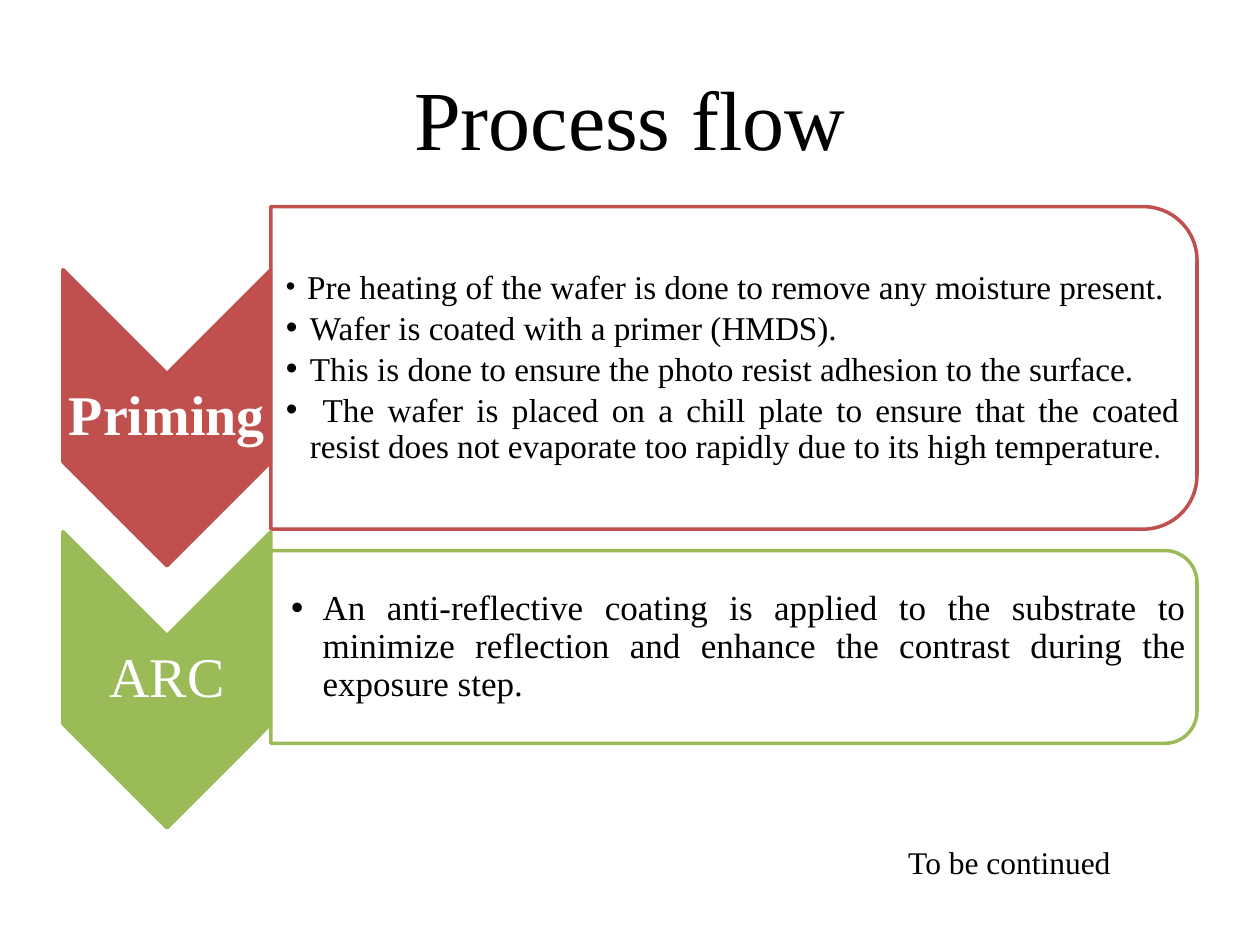
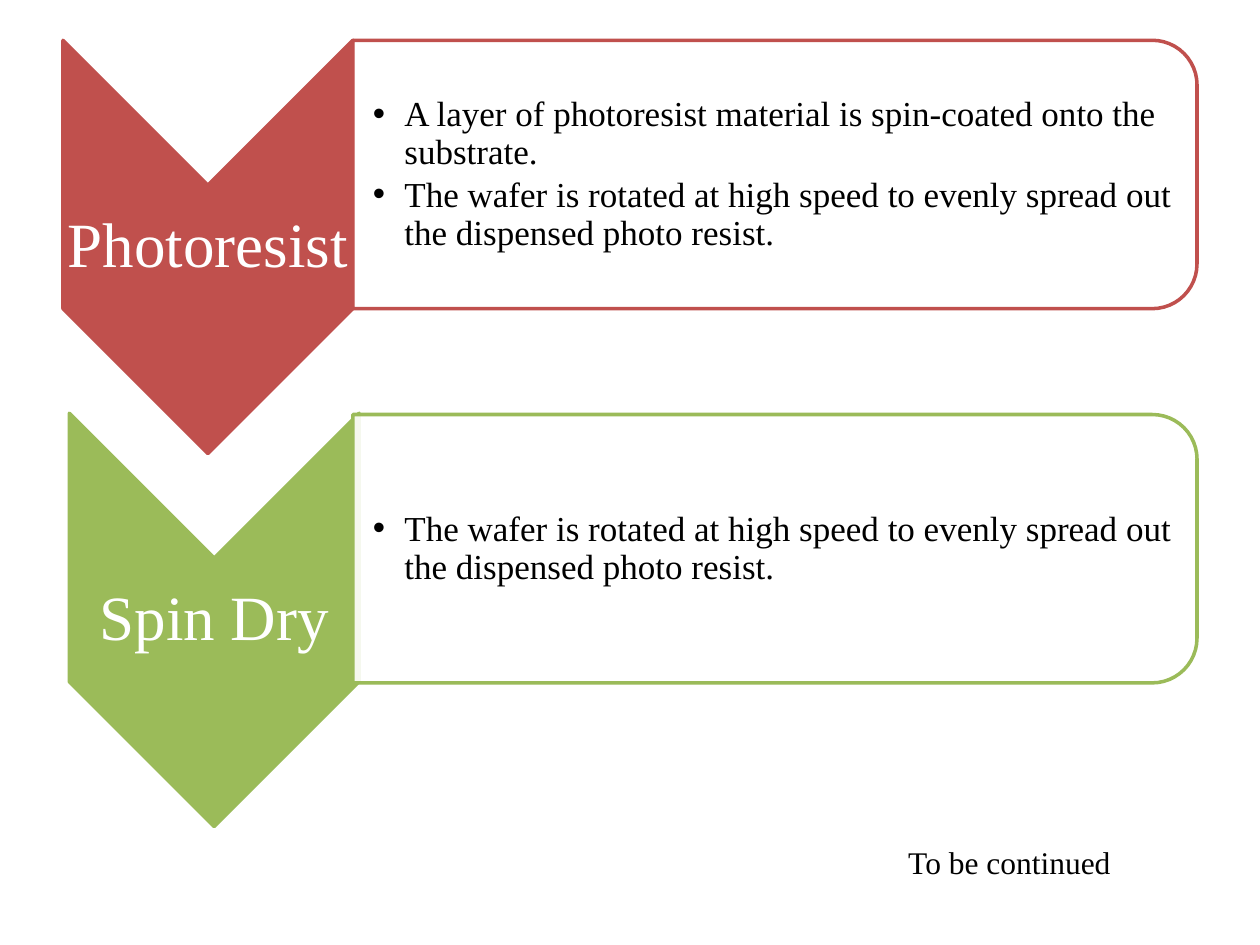
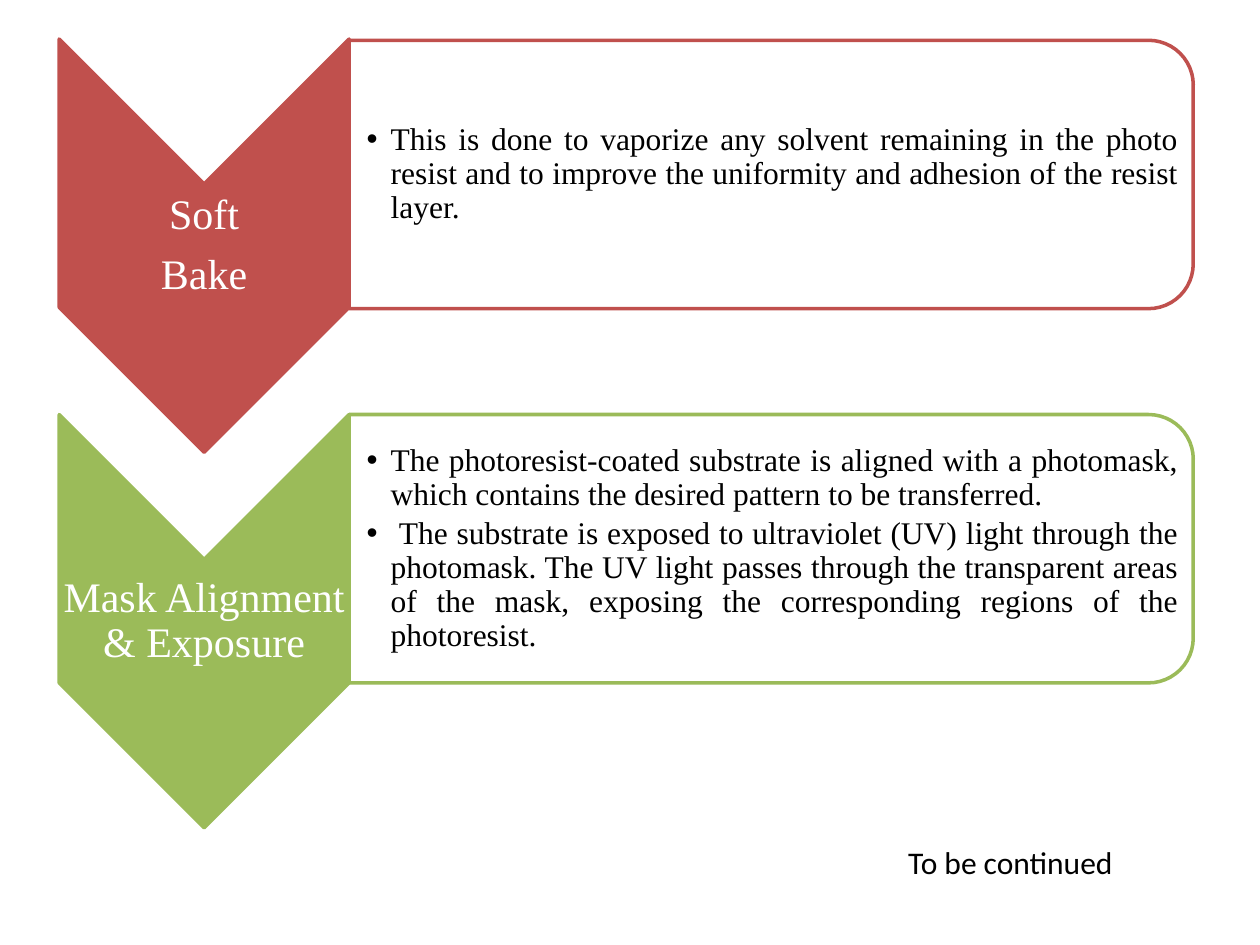
"""Builds three slides of wafer process steps as chevrons with notes."""
from pptx import Presentation, util as u
from pptx.dml.color import RGBColor
from pptx.enum import shapes, text
from pptx.oxml.ns import qn
from lxml import etree

PX = 9144
RED = RGBColor(0xC0, 0x50, 0x4D)
GREEN = RGBColor(0x9B, 0xBB, 0x59)
WHITE = RGBColor(0xFF, 0xFF, 0xFF)
BLACK = RGBColor(0, 0, 0)
SERIF, SANS = "Times New Roman", "Calibri"
MID, TOP = text.MSO_ANCHOR.MIDDLE, text.MSO_ANCHOR.TOP
LEFT, CENTER, FULL = text.PP_ALIGN.LEFT, text.PP_ALIGN.CENTER, text.PP_ALIGN.JUSTIFY
HANG = {15.5: 12, 18: 19, 19: 19, 20: 25}
FOOT = "To be continued"

SLIDES = [
    {"title": "Process flow", "foot": SERIF, "steps": [
        {"name": ["Priming"], "bold": True, "size": 32, "pad": 2, "color": RED,
         "arrow": (50, 214, 165, 235), "box": (215, 164, 735, 256),
         "inset": 12, "align": FULL, "notes": [
             [(" ", 15.5, SANS),
              ("Pre heating of the wafer is done to remove any moisture present.", 19, SERIF)],
             [("Wafer is coated with a primer (HMDS).", 19, SERIF)],
             [("This is done to ensure the photo resist adhesion to the surface. ", 19, SERIF)],
             [(" The wafer is placed on a chill plate to ensure that the coated resist "
               "does not evaporate too rapidly due to its high temperature", 19, SERIF),
              (".", 15.5, SANS)]]},
        {"name": ["ARC"], "size": 32, "pad": 2, "color": GREEN,
         "arrow": (50, 422, 165, 235), "box": (215, 437, 735, 153),
         "inset": 16, "align": FULL, "notes": [
             [("An anti-reflective coating is applied to the substrate to minimize "
               "reflection and enhance the contrast during the exposure step.", 20, SERIF)]]}]},
    {"foot": SERIF, "steps": [
        {"name": ["Photoresist"], "size": 36, "pad": 3, "color": RED,
         "arrow": (50, 32, 230, 328), "box": (280, 32, 670, 213),
         "inset": 16, "align": LEFT, "notes": [
             [("A layer of photoresist material is spin-coated onto the substrate.", 20, SERIF)],
             [("The wafer is rotated at high speed to evenly spread out the dispensed "
               "photo resist.", 20, SERIF)]]},
        {"name": ["Spin Dry"], "size": 36, "pad": 3, "color": GREEN,
         "arrow": (55, 328, 230, 328), "box": (280, 329, 670, 213),
         "inset": 16, "align": LEFT, "notes": [
             [("The wafer is rotated at high speed to evenly spread out the dispensed "
               "photo resist.", 20, SERIF)]]}]},
    {"foot": SANS, "steps": [
        {"name": ["Soft", "Bake"], "size": 24, "pad": 2, "color": RED,
         "arrow": (47, 31, 230, 328), "box": (277, 32, 670, 213),
         "inset": 14, "align": FULL, "notes": [
             [("This is done to vaporize any solvent remaining in the photo resist and to "
               "improve the uniformity and adhesion of the resist layer.", 18, SERIF)]]},
        {"name": ["Mask Alignment & Exposure"], "size": 24, "pad": 2, "color": GREEN,
         "arrow": (47, 329, 230, 328), "box": (277, 329, 670, 213),
         "inset": 14, "align": FULL, "notes": [
             [("The photoresist-coated substrate is aligned with a photomask, which "
               "contains the desired pattern to be transferred. ", 18, SERIF)],
             [(" The substrate is exposed to ultraviolet (UV) light through the photomask. "
               "The UV light passes through the transparent areas of the mask, exposing "
               "the corresponding regions of the photoresist.", 18, SERIF)]]}]},
]


def place(x, y, w, h):
    return [round(v * PX) for v in (x, y, w, h)]


def turned(slide, kind, area, fill, line):
    x, y, w, h = area
    shape = slide.shapes.add_shape(kind, *place(x + (w - h) / 2, y + (h - w) / 2, h, w))
    shape.rotation = 90
    shape.shadow.inherit = False
    shape.fill.solid()
    shape.fill.fore_color.rgb = fill
    shape.line.color.rgb = line
    shape.line.width = u.Pt(2)
    return shape


def fade(shape, share):
    color = shape.fill._xPr.find(qn("a:solidFill"))[0]
    etree.SubElement(color, qn("a:alpha")).set("val", str(share * 1000))


def bullet(para, hang):
    props = para._p.get_or_add_pPr()
    props.set("marL", str(hang * PX))
    props.set("indent", str(-hang * PX))
    etree.SubElement(props, qn("a:buFont")).set("typeface", "Arial")
    etree.SubElement(props, qn("a:buChar")).set("char", "•")


def write(slide, area, paras, align=LEFT, color=BLACK, anchor=MID,
          pads=(10, 5, 10, 5), gap=None, marks=False, bold=False):
    box = slide.shapes.add_textbox(*place(*area))
    frame = box.text_frame
    frame.word_wrap = True
    frame.vertical_anchor = anchor
    (frame.margin_left, frame.margin_top,
     frame.margin_right, frame.margin_bottom) = [p * PX for p in pads]
    for i, runs in enumerate(paras):
        para = frame.paragraphs[0] if i == 0 else frame.add_paragraph()
        para.alignment = align
        if gap:
            para.line_spacing = 0.9
            para.space_after = u.Pt(gap * max(size for _, size, _ in runs))
        if marks:
            para.level = 1
            bullet(para, HANG[runs[0][1]])
        for words, size, face in runs:
            run = para.add_run()
            run.text = words
            run.font.size = u.Pt(size)
            run.font.name = face
            run.font.bold = bold
            run.font.color.rgb = color
    return box


def step(slide, item):
    x, y, w, h = item["arrow"]
    color = item["color"]
    turned(slide, shapes.MSO_SHAPE.CHEVRON, item["arrow"], color, color)
    write(slide, (x, y + w / 2, w, h - w),
          [[(name, item["size"], SERIF)] for name in item["name"]],
          CENTER, WHITE, pads=[item["pad"]] * 4, gap=0.35, bold=item.get("bold", False))

    x, y, w, h = item["box"]
    panel = turned(slide, shapes.MSO_SHAPE.ROUND_2_SAME_RECTANGLE, item["box"], WHITE, color)
    fade(panel, 90)
    trim = h * 0.05
    write(slide, (x, y + trim, w - trim, h - 2 * trim), item["notes"], item["align"],
          pads=(item["inset"], 1, 1, 1), gap=0.15, marks=True)


def main():
    deck = Presentation()
    deck.slide_width, deck.slide_height = 1000 * PX, 750 * PX
    for page in SLIDES:
        slide = deck.slides.add_slide(deck.slide_layouts[6])
        for item in page["steps"]:
            step(slide, item)
        if "title" in page:
            write(slide, (50, 30, 900, 125), [[(page["title"], 48, SERIF)]], CENTER)
        foot = write(slide, (711, 664, 258, 40), [[(FOOT, 18, page["foot"])]], anchor=TOP)
        foot.text_frame.auto_size = text.MSO_AUTO_SIZE.SHAPE_TO_FIT_TEXT
    deck.save("out.pptx")


if __name__ == "__main__":
    main()
